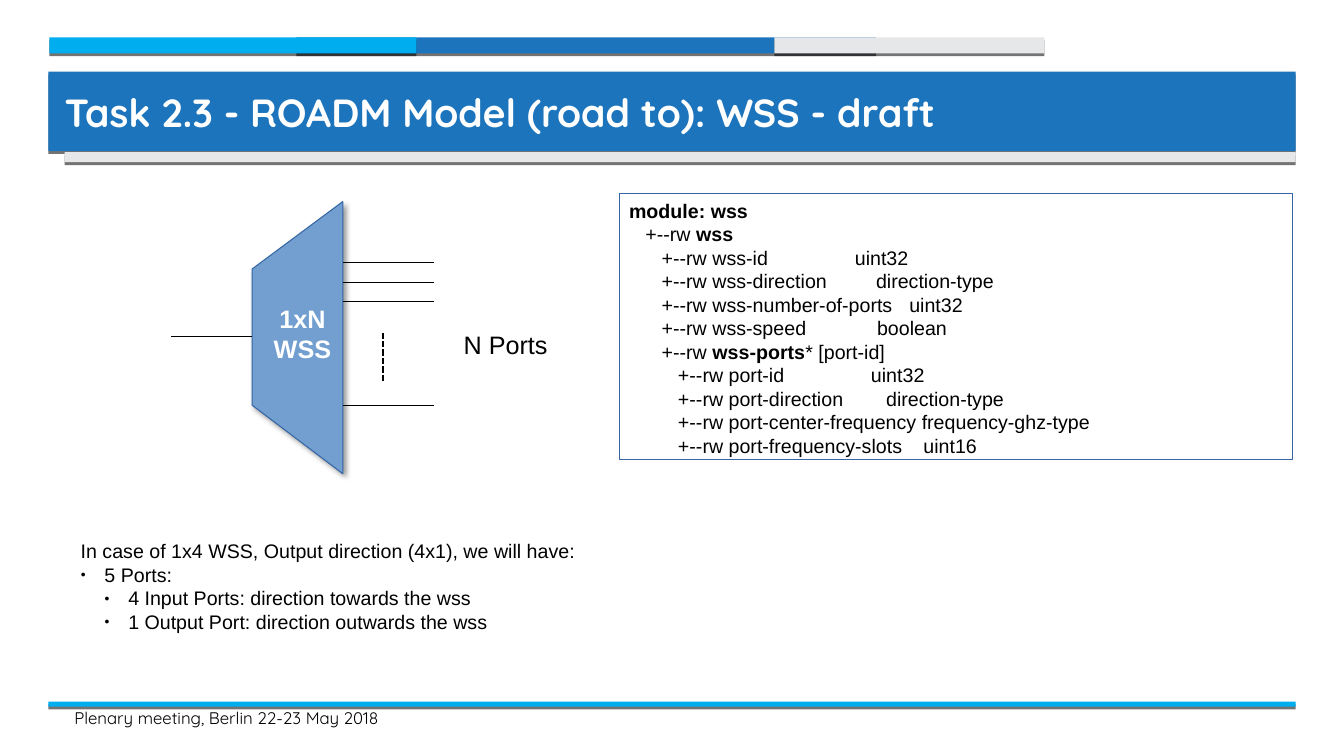
from lxml import etree
from pptx import Presentation
from pptx.dml.color import RGBColor
from pptx.enum.dml import MSO_LINE
from pptx.enum.shapes import MSO_CONNECTOR, MSO_SHAPE
from pptx.enum.text import MSO_ANCHOR, MSO_AUTO_SIZE, PP_ALIGN
from pptx.oxml.ns import qn
from pptx.util import Inches, Pt

RECTANGLE = MSO_SHAPE.RECTANGLE
STRAIGHT = MSO_CONNECTOR.STRAIGHT
DASHED = MSO_LINE.SQUARE_DOT
TOP, MIDDLE = MSO_ANCHOR.TOP, MSO_ANCHOR.MIDDLE
LEFT, CENTER = PP_ALIGN.LEFT, PP_ALIGN.CENTER
NO_AUTOFIT = MSO_AUTO_SIZE.NONE

CELL = 0.1
BLACK, WHITE, BLUE, CYAN, GREY = "000000", "FFFFFF", "1C75BC", "00AEEF", "E6E7E8"
OUTLINE, WSS_FILL = "3465A4", "729FCF"

BANDS = [
    (29.4, 3.7, 57.5, 1.6, BLUE),
    (4.9, 3.7, 36.4, 1.6, CYAN),
    (76.8, 3.7, 26.8, 1.6, GREY),
    (4.8, 7.1, 123.7, 7.9, BLUE),
    (6.4, 15.1, 122.1, 1, GREY),
    (4.8, 69.6, 123.7, 0.5, CYAN),
]
MODULE_TREE = [
    (0, [("module: wss", True)], None),
    (1, [("+--rw ", False), ("wss", True)], None),
    (2, [("+--rw wss-id\tuint32", False)], 22.4),
    (2, [("+--rw wss-direction\tdirection-type", False)], 24.5),
    (2, [("+--rw wss-number-of-ports\tuint32", False)], 27.8),
    (2, [("+--rw wss-speed\tboolean", False)], 24.6),
    (2, [("+--rw ", False), ("wss-ports", True), ("* [port-id]", False)], None),
    (3, [("+--rw port-id\tuint32", False)], 24),
    (3, [("+--rw port-direction\tdirection-type", False)], 25.5),
    (3, [("+--rw port-center-frequency frequency-ghz-type", False)], None),
    (3, [("+--rw port-frequency-slots\tuint16", False)], 29.2),
]
PORT_CASE = [
    (0, "In case of 1x4 WSS, Output direction (4x1), we will have:"),
    (1, "5 Ports:"),
    (2, "4 Input Ports: direction towards the wss"),
    (2, "1 Output Port: direction outwards the wss"),
]


def color(value):
    return RGBColor.from_string(value)


def cells(*counts):
    return [Inches(count * CELL) for count in counts]


def apply(target, values):
    for name, value in values.items():
        setattr(target, name, value)


def move(item, place):
    apply(item, dict(zip(("left", "top", "width", "height"), cells(*place))))


def child(parent, tag, **attributes):
    element = etree.SubElement(parent, qn(tag))
    for name, value in attributes.items():
        element.set(name, str(value))
    return element


def paint(item, fill, outline=None):
    item.fill.solid()
    item.fill.fore_color.rgb = color(fill)
    if outline:
        item.line.color.rgb = color(outline)
        item.line.width = Pt(0.75)
    else:
        item.line.fill.background()
    item.shadow.inherit = False


def cast_shadow(item, opacity, blur, distance, angle):
    effects = item._element.spPr.find(qn("a:effectLst"))
    shadow = child(effects, "a:outerShdw", blurRad=Pt(blur), dist=Pt(distance),
                   dir=angle * 60000, algn="ctr", rotWithShape=0)
    child(child(shadow, "a:srgbClr", val=BLACK), "a:alpha", val=opacity * 1000)


def add_band(slide, left, top, width, height, fill):
    band = slide.shapes.add_shape(RECTANGLE, *cells(left, top, width, height))
    paint(band, fill)
    cast_shadow(band, 55, 0, 2, 90)


def add_wire(slide, start, end, weight=0.75):
    wire = slide.shapes.add_connector(STRAIGHT, *cells(*start, *end))
    wire.line.color.rgb = color(BLACK)
    wire.line.width = Pt(weight)
    child(wire._element.spPr, "a:effectLst")
    return wire


def set_frame(item, anchor=TOP, side=1, edge=0.5):
    side, edge = cells(side, edge)
    frame = item.text_frame
    apply(frame, {"word_wrap": True, "auto_size": NO_AUTOFIT, "vertical_anchor": anchor,
                  "margin_left": side, "margin_right": side,
                  "margin_top": edge, "margin_bottom": edge})
    return frame


def write_line(frame, number, runs, size, ink=BLACK, font="Arial", align=LEFT):
    line = frame.paragraphs[0] if number == 0 else frame.add_paragraph()
    apply(line, {"alignment": align, "space_before": Pt(0), "space_after": Pt(0)})
    for text, bold in runs:
        run = line.add_run()
        run.text = text
        apply(run.font, {"name": font, "size": Pt(size), "bold": bold})
        run.font.color.rgb = color(ink)
    return line


def add_label(slide, place, lines, size, bold=False, **look):
    label = slide.shapes.add_textbox(*cells(*place))
    frame = set_frame(label)
    for number, text in enumerate(lines):
        write_line(frame, number, [(text, bold)], size, **look)


def add_title(slide, text):
    title = slide.shapes.title
    title._element.getparent().append(title._element)
    move(title, (6.4, 7.7, 120.6, 6.8))
    write_line(set_frame(title, MIDDLE, 0, 0), 0, [(text, True)], 28, WHITE, "Quicksand")


def add_module_tree(slide):
    panel = slide.shapes.add_shape(RECTANGLE, *cells(61.4, 19.2, 66.8, 26.4))
    paint(panel, WHITE, OUTLINE)
    frame = set_frame(panel)
    for number, (depth, runs, type_column) in enumerate(MODULE_TREE):
        if depth:
            runs = [("\t" + runs[0][0], runs[0][1])] + runs[1:]
        line = write_line(frame, number, runs, 14)
        stops = child(line._p.get_or_add_pPr(), "a:tabLst")
        for column in filter(None, (depth * 1.62, type_column)):
            child(stops, "a:tab", pos=cells(column)[0], algn="l")


def add_wss(slide):
    corners = [cells(*corner) for corner in ((34, 20), (34, 47), (25, 40.2), (25, 26.7))]
    outline = slide.shapes.build_freeform(*corners[0])
    outline.add_line_segments(corners[1:], close=True)
    body = outline.convert_to_shape()
    paint(body, WSS_FILL, OUTLINE)
    cast_shadow(body, 40, 4, 3, 45)
    for row in (26, 28, 29.9, 40.2):
        add_wire(slide, (34, row), (43, row))
    add_wire(slide, (25, 33.4), (17, 33.4))
    add_wire(slide, (38, 33), (38, 38), 1.5).line.dash_style = DASHED
    add_label(slide, (45, 32.2, 12, 3.8), ["N Ports"], 18)
    add_label(slide, (26, 29.6, 8, 6.6), ["1xN", "WSS"], 18, True, ink=WHITE, align=CENTER)


def add_port_case(slide):
    body = slide.placeholders[1]
    move(body, (7, 53, 52, 9.7))
    frame = set_frame(body)
    for number, (depth, text) in enumerate(PORT_CASE):
        line = write_line(frame, number, [(text, False)], 14)
        line.level = max(depth - 1, 0)
        properties = line._p.get_or_add_pPr()
        indent, hanging = cells(depth * 2.36, -2.36 if depth else 0)
        properties.set("marL", str(indent))
        properties.set("indent", str(hanging))
        if depth:
            child(child(properties, "a:buClr"), "a:srgbClr", val=BLACK)
            child(properties, "a:buSzPct", val=45000)
            child(properties, "a:buChar", char="●")
        else:
            child(properties, "a:buNone")


def main():
    deck = Presentation()
    apply(deck, {"slide_width": Inches(13.33), "slide_height": Inches(7.5)})
    slide = deck.slides.add_slide(deck.slide_layouts[1])
    for band in BANDS:
        add_band(slide, *band)
    add_title(slide, "Task 2.3 - ROADM Model (road to): WSS - draft")
    add_module_tree(slide)
    add_wss(slide)
    add_port_case(slide)
    add_label(slide, (6.4, 69.7, 75.6, 4), ["Plenary meeting, Berlin 22-23 May 2018"], 12,
              font="Quicksand")
    deck.save("out.pptx")


main()
